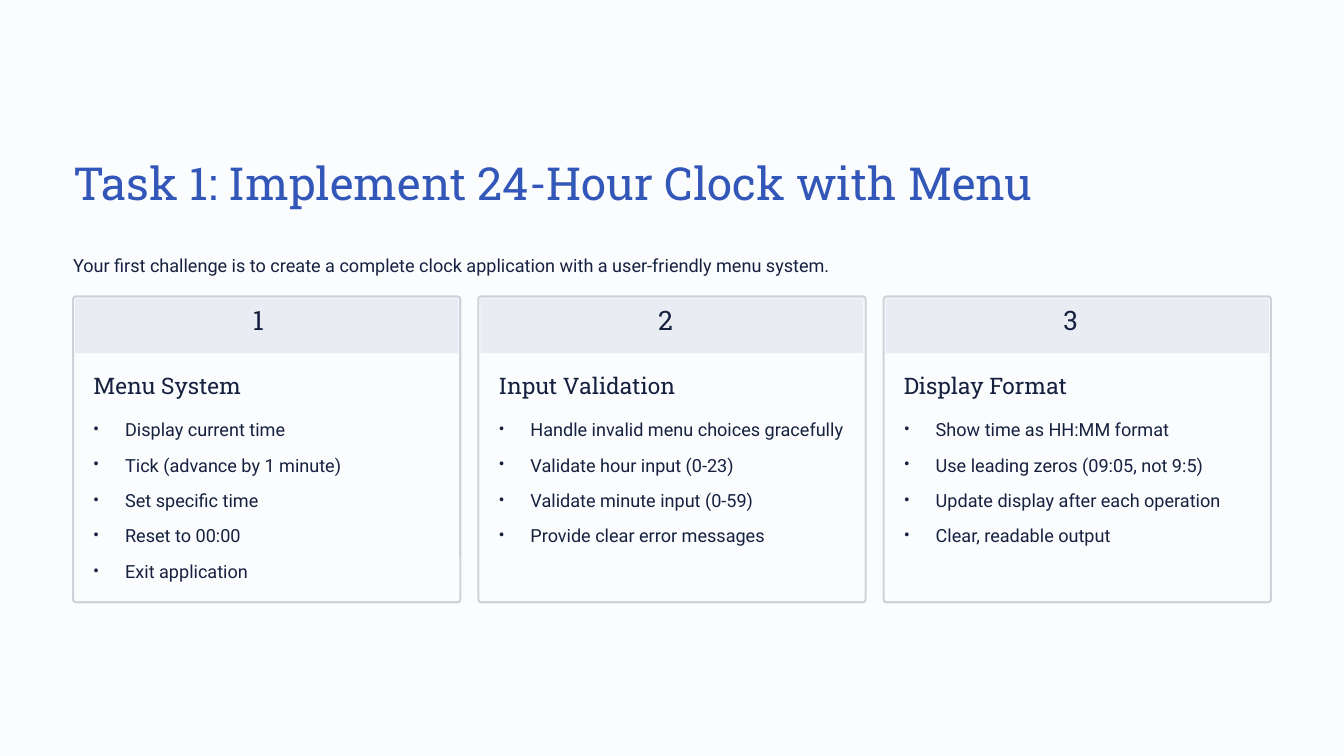
from lxml import etree
from pptx import Presentation
from pptx.dml.color import RGBColor
from pptx.enum.shapes import MSO_SHAPE
from pptx.oxml.ns import qn
from pptx.util import Pt

ROUNDED = MSO_SHAPE.ROUNDED_RECTANGLE

COLORS = {
    "page": "FBFCFE",
    "title": "3257B8",
    "text": "15213F",
    "border": "CFD2D8",
    "header": "E9ECF2",
}
SERIF = "Roboto Slab"
SANS = "Roboto"

MARGIN = 62.64
CONTENT_WIDTH = 1026.72
CARD_TOP = 254.16
CARD_WIDTH = 331.92
CARD_HEIGHT = 262.08
CARD_PITCH = 347.4
BORDER = 1.8
PADDING = 17.3
BULLET_INDENT = 27.36

CARDS = [
    ("Menu System", [
        "Display current time",
        "Tick (advance by 1 minute)",
        "Set specific time",
        "Reset to 00:00",
        "Exit application",
    ]),
    ("Input Validation", [
        "Handle invalid menu choices gracefully",
        "Validate hour input (0-23)",
        "Validate minute input (0-59)",
        "Provide clear error messages",
    ]),
    ("Display Format", [
        "Show time as HH:MM format",
        "Use leading zeros (09:05, not 9:5)",
        "Update display after each operation",
        "Clear, readable output",
    ]),
]


def rgb(name):
    return RGBColor.from_string(COLORS[name])


def add_panel(page, left, top, width, height, radius, fill, border=None):
    panel = page.shapes.add_shape(ROUNDED, Pt(left), Pt(top), Pt(width), Pt(height))
    panel.adjustments[0] = radius
    panel.shadow.inherit = False
    panel.fill.solid()
    panel.fill.fore_color.rgb = rgb(fill)
    if border:
        panel.line.color.rgb = rgb(border)
        panel.line.width = Pt(BORDER)
    else:
        panel.line.fill.background()


def add_bullet(para):
    properties = para._p.get_or_add_pPr()
    properties.set("marL", str(Pt(BULLET_INDENT)))
    properties.set("indent", str(-Pt(BULLET_INDENT)))
    etree.SubElement(properties, qn("a:buSzPct")).set("val", "100000")
    etree.SubElement(properties, qn("a:buFont")).set("typeface", SANS)
    etree.SubElement(properties, qn("a:buChar")).set("char", "•")


def add_text(page, left, top, width, height, lines, size, leading,
             font=SERIF, color="text", gap=0, bullets=False):
    box = page.shapes.add_textbox(Pt(left), Pt(top), Pt(width), Pt(height))
    frame = box.text_frame
    frame.word_wrap = True
    frame.margin_left = frame.margin_right = Pt(0)
    frame.margin_top = frame.margin_bottom = Pt(0)
    for index, line in enumerate(lines):
        para = frame.add_paragraph() if index else frame.paragraphs[0]
        para.line_spacing = Pt(leading)
        para.space_after = Pt(gap)
        if bullets:
            add_bullet(para)
        span = para.add_run()
        span.text = line
        span.font.size = Pt(size)
        span.font.name = font
        span.font.color.rgb = rgb(color)


def add_card(page, number, heading, items):
    left = MARGIN + (number - 1) * CARD_PITCH
    inner = left + PADDING

    # Frame and header band
    add_panel(page, left, CARD_TOP, CARD_WIDTH, CARD_HEIGHT, 0.009, "page", "border")
    add_panel(page, left + BORDER, CARD_TOP + BORDER, CARD_WIDTH - 2 * BORDER, 46.8,
              0.004, "header")

    # Number, heading and bullet list
    add_text(page, left + 154.1, 264.96, 23.76, 29.52, [str(number)], 23, 23)
    add_text(page, inner, 318.24, 195.12, 24.48, [heading], 19.5, 24)
    add_text(page, inner, 352.3, 297.36, 30.4 * len(items), items, 15.5, 25,
             font=SANS, gap=5.4, bullets=True)


def main():
    deck = Presentation()
    deck.slide_width, deck.slide_height = Pt(1152), Pt(648)
    page = deck.slides.add_slide(deck.slide_layouts[6])
    page.background.fill.solid()
    page.background.fill.fore_color.rgb = rgb("page")

    # Title and introduction
    add_text(page, MARGIN, 131.3, 836, 48.96,
             ["Task 1: Implement 24-Hour Clock with Menu"], 39, 48.5, color="title")
    add_text(page, MARGIN, 211.68, CONTENT_WIDTH, 25.2,
             ["Your first challenge is to create a complete clock application "
              "with a user-friendly menu system."], 15.5, 25, font=SANS)

    # Requirement cards
    for number, (heading, items) in enumerate(CARDS, start=1):
        add_card(page, number, heading, items)

    deck.save("out.pptx")


if __name__ == "__main__":
    main()
